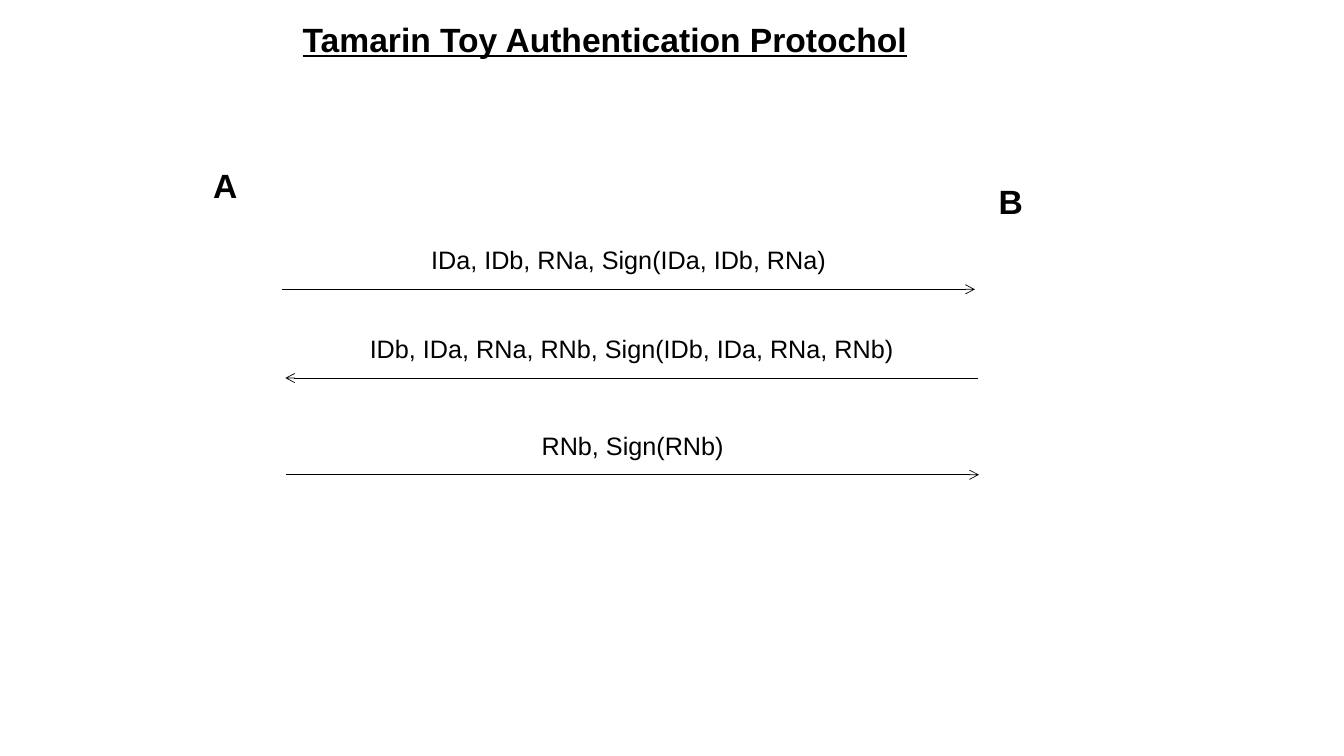
"""Build a slide showing the messages of a toy authentication protocol."""
import pptx
import pptx.dml.color
import pptx.enum.shapes
import pptx.enum.text
import pptx.oxml.ns
import pptx.util
from lxml import etree

BLACK = pptx.dml.color.RGBColor(0, 0, 0)
WIDTH = pptx.util.Inches(13.33)
HEIGHT = pptx.util.Inches(7.5)

HEADING = {"size": pptx.util.Pt(24), "bold": True}
TITLE = {**HEADING, "underline": True}
MESSAGE = {"size": pptx.util.Pt(18)}

HEADING_H = 6.67
MESSAGE_W, MESSAGE_H = 51.54, 5.33
MESSAGE_RISE = 6.55

PARTIES = [("A", 14.33, 21.2), ("B", 72.77, 23.33)]
MESSAGES = [
    ("IDa, IDb, RNa, Sign(IDa, IDb, RNa)", 21, 38.27, True),
    ("IDb, IDa, RNa, RNb, Sign(IDb, IDa, RNa, RNb)", 21.23, 50, False),
    ("RNb, Sign(RNb)", 21.3, 62.8, True),
]


def across(share):
    """Return a percentage of the slide width as a length."""
    return pptx.util.Emu(round(WIDTH * share / 100))


def down(share):
    """Return a percentage of the slide height as a length."""
    return pptx.util.Emu(round(HEIGHT * share / 100))


def add_label(s, text, x, y, w, h, style):
    """Add a centred line of text in the given style."""
    sp = s.shapes.add_textbox(across(x), down(y), across(w), down(h))
    tf = sp.text_frame
    tf.word_wrap = True
    tf.auto_size = pptx.enum.text.MSO_AUTO_SIZE.SHAPE_TO_FIT_TEXT
    p = tf.paragraphs[0]
    p.alignment = pptx.enum.text.PP_ALIGN.CENTER
    r = p.add_run()
    r.text = text
    for name, value in {"name": "Arial", **style}.items():
        setattr(r.font, name, value)
    r.font.color.rgb = BLACK


def add_arrow(s, start, end, y):
    """Add a thin horizontal arrow pointing at its end."""
    sp = s.shapes.add_connector(pptx.enum.shapes.MSO_CONNECTOR.STRAIGHT,
                                across(start), down(y), across(end), down(y))
    sp.line.color.rgb = BLACK
    sp.line.width = pptx.util.Pt(0.5)
    etree.SubElement(sp.line._get_or_add_ln(),
                     pptx.oxml.ns.qn("a:tailEnd"), type="arrow")
    etree.SubElement(sp._element.spPr, pptx.oxml.ns.qn("a:effectLst"))


def add_message(s, text, x, y, to_right):
    """Add a message above the arrow that carries it."""
    start, end = (x, x + MESSAGE_W) if to_right else (x + MESSAGE_W, x)
    add_arrow(s, start, end, y)
    add_label(s, text, x, y - MESSAGE_RISE, MESSAGE_W, MESSAGE_H, MESSAGE)


def main():
    """Build and save the slide."""
    prs = pptx.Presentation()
    prs.slide_width, prs.slide_height = WIDTH, HEIGHT
    s = prs.slides.add_slide(prs.slide_layouts[6])
    for name, x, y in PARTIES:
        add_label(s, name, x, y, 4.88, HEADING_H, HEADING)
    add_label(s, "Tamarin Toy Authentication Protochol",
              20.1, 1.87, 49.81, HEADING_H, TITLE)
    for message in MESSAGES:
        add_message(s, *message)
    prs.save("out.pptx")


if __name__ == "__main__":
    main()
